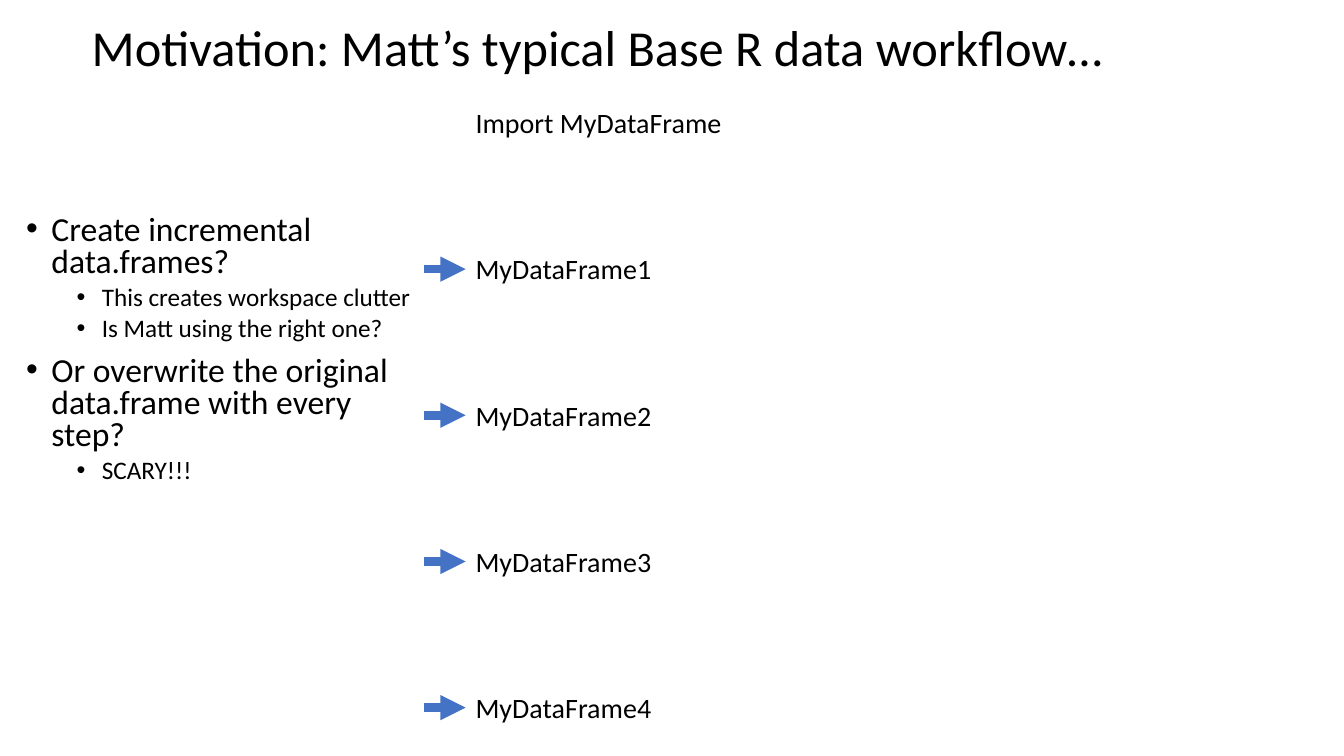
from lxml.etree import SubElement
from pptx import Presentation
from pptx.dml.color import RGBColor
from pptx.enum.shapes import MSO_CONNECTOR as Connector
from pptx.enum.text import MSO_ANCHOR as Anchor, MSO_AUTO_SIZE as AutoSize, PP_ALIGN as Align
from pptx.oxml.ns import qn
from pptx.util import Pt

COLOURS = {"text": "000000", "arrow": "4472C4"}
FONT = "Calibri"
FRAME_LABELS = ["Import MyDataFrame"] + [f"MyDataFrame{step}" for step in range(1, 5)]
QUESTIONS = [
    (0, "Create incremental data.frames?"),
    (1, "This creates workspace clutter"),
    (1, "Is Matt using the right one?"),
    (0, "Or overwrite the original data.frame with every step?"),
    (1, "SCARY!!!"),
]
LEVELS = [
    {"size": 24, "margin": 18, "before": 10},
    {"size": 18, "margin": 54, "before": 5},
]


def place(shape, left, top, width, height):
    """Move a shape to a box given in points."""
    shape.left, shape.top = Pt(left), Pt(top)
    shape.width, shape.height = Pt(width), Pt(height)


def set_font(paragraph, size):
    """Give a paragraph the slide's font at a size in points."""
    font = paragraph.font
    font.name = FONT
    font.size = Pt(size)
    font.color.rgb = RGBColor.from_string(COLOURS["text"])


def add_bullet(paragraph, margin, hang=18):
    """Set a hanging round bullet on a paragraph."""
    properties = paragraph._p.get_or_add_pPr()
    properties.set("marL", str(Pt(margin)))
    properties.set("indent", str(-Pt(hang)))
    SubElement(properties, qn("a:buFont"), typeface="Arial")
    SubElement(properties, qn("a:buChar"), char="•")


def fill_title(title, left, top, width, height):
    """Write the slide title in its box."""
    place(title, left, top, width, height)
    frame = title.text_frame
    frame.text = "Motivation: Matt’s typical Base R data workflow…"
    frame.vertical_anchor = Anchor.MIDDLE
    frame.auto_size = AutoSize.NONE
    paragraph = frame.paragraphs[0]
    paragraph.alignment = Align.LEFT
    paragraph.line_spacing = 0.9
    set_font(paragraph, 36)


def fill_questions(body, left, top, width, height):
    """Write the two-level list of questions in its box."""
    place(body, left, top, width, height)
    frame = body.text_frame
    frame.auto_size = AutoSize.NONE
    frame.vertical_anchor = Anchor.TOP
    for index, (level, text) in enumerate(QUESTIONS):
        paragraph = frame.add_paragraph() if index else frame.paragraphs[0]
        style = LEVELS[level]
        paragraph.text = text
        paragraph.level = level
        add_bullet(paragraph, style["margin"])
        paragraph.line_spacing = 0.8
        paragraph.space_before = Pt(style["before"] if index else 0)
        set_font(paragraph, style["size"])


def add_label(slide, text, left, top, width, height):
    """Add one data frame name and return its text box."""
    label = slide.shapes.add_textbox(Pt(left), Pt(top), Pt(width), Pt(height))
    frame = label.text_frame
    frame.word_wrap = True
    frame.auto_size = AutoSize.SHAPE_TO_FIT_TEXT
    frame.text = text
    set_font(frame.paragraphs[0], 20)
    return label


def add_arrow(slide, label, length):
    """Add a thick arrow ending at the left side of a label."""
    middle = label.top + label.height // 2
    arrow = slide.shapes.add_connector(
        Connector.STRAIGHT, label.left - Pt(length), middle, label.left, middle)
    arrow.end_connect(label, 1)
    arrow.line.color.rgb = RGBColor.from_string(COLOURS["arrow"])
    arrow.line.width = Pt(6)
    SubElement(arrow.line._get_or_add_ln(), qn("a:tailEnd"), type="triangle")
    SubElement(arrow._element.spPr, qn("a:effectLst"))


def add_workflow(slide, left, top, width, height):
    """Stack the data frame names evenly, with an arrow to each after the import."""
    arrow_length, label_height = 29.5, 31.7
    step = (height - label_height) / (len(FRAME_LABELS) - 1)
    for index, text in enumerate(FRAME_LABELS):
        label = add_label(slide, text, left + arrow_length, top + index * step,
                          width - arrow_length, label_height)
        if index:
            add_arrow(slide, label, arrow_length)


def main():
    """Build and save the presentation."""
    presentation = Presentation()
    presentation.slide_width, presentation.slide_height = Pt(960), Pt(540)
    slide = presentation.slides.add_slide(presentation.slide_layouts[1])
    fill_title(slide.shapes.title, 58.3, 0, 828, 72)
    fill_questions(slide.placeholders[1], 11.5, 150.5, 291.6, 212.4)
    add_workflow(slide, 303.1, 72, 225.4, 449.3)
    presentation.save("out.pptx")


if __name__ == "__main__":
    main()
